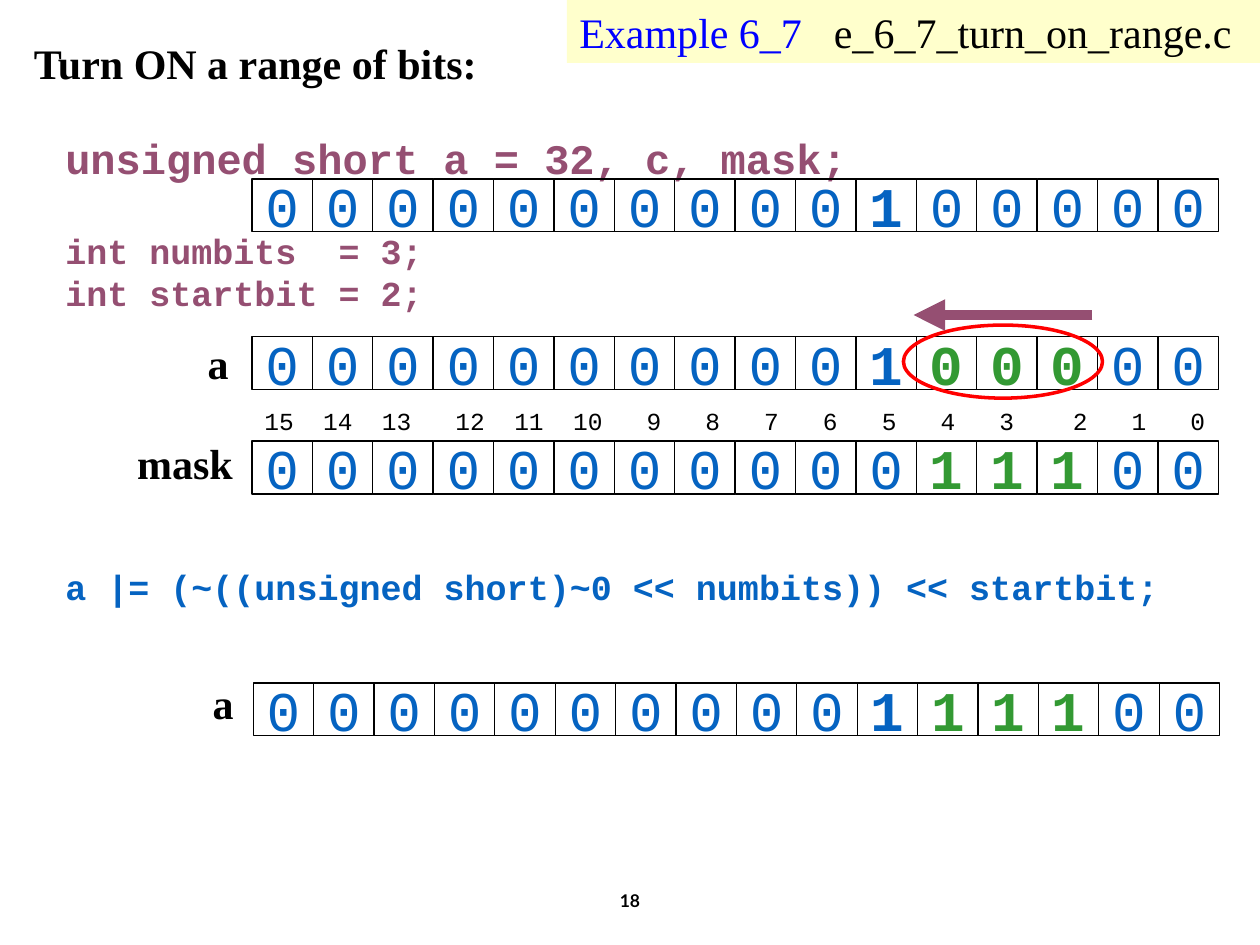
from dataclasses import dataclass
from itertools import accumulate

from lxml.etree import SubElement
from pptx import Presentation
from pptx.dml.color import RGBColor
from pptx.enum.shapes import MSO_CONNECTOR, MSO_SHAPE
from pptx.enum.text import MSO_ANCHOR, PP_ALIGN
from pptx.oxml.ns import qn
from pptx.util import Inches, Pt


@dataclass(frozen=True)
class Theme:
    serif: str = "Times New Roman"
    mono: str = "Courier New"
    footer: str = "Lato"
    black: str = "000000"
    plum: str = "954F72"
    blue: str = "0563C1"
    green: str = "339933"
    red: str = "FF0000"
    link: str = "0000FF"
    cream: str = "FFFFCC"
    digit_size: int = 32
    heading_size: int = 24
    code_size: int = 20
    index_size: int = 14
    footer_size: int = 10


THEME = Theme()
WORD_BITS = 16
CELL_WIDTH = 7.67 / WORD_BITS
CELL_HEIGHT = 0.42


def color(value):
    return RGBColor.from_string(value)


def style(run, font, size, ink, bold=False):
    run.font.name = font
    run.font.size = Pt(size)
    run.font.bold = bold
    run.font.color.rgb = color(ink)


def add_label(slide, text, box, font, size, bold=True, wrap=False):
    label = slide.shapes.add_textbox(*map(Inches, box))
    frame = label.text_frame
    frame.word_wrap = wrap
    frame.text = text
    style(frame.paragraphs[0].runs[0], font, size, THEME.black, bold)
    return frame


def set_tabs(paragraph, stops):
    tabs = SubElement(paragraph._p.get_or_add_pPr(), qn("a:tabLst"))
    for stop in stops:
        SubElement(tabs, qn("a:tab"), pos=str(Inches(stop)), algn="l")


def add_bit_row(slide, left, top, bits, highlighted=()):
    """Draw a 16-bit word; highlighted holds bit numbers counted from the right."""
    row = slide.shapes.add_group_shape()
    for column, bit in enumerate(bits):
        cell = row.shapes.add_shape(
            MSO_SHAPE.RECTANGLE, Inches(left + column * CELL_WIDTH), Inches(top),
            Inches(CELL_WIDTH), Inches(CELL_HEIGHT))
        cell.shadow.inherit = False
        cell.fill.background()
        cell.line.color.rgb = color(THEME.black)
        cell.line.width = Pt(0.75)
        frame = cell.text_frame
        frame.word_wrap = False
        frame.vertical_anchor = MSO_ANCHOR.MIDDLE
        frame.text = bit
        frame.paragraphs[0].alignment = PP_ALIGN.CENTER
        marked = WORD_BITS - 1 - column in highlighted
        style(frame.paragraphs[0].runs[0], THEME.mono, THEME.digit_size,
              THEME.green if marked else THEME.blue, marked or bit == "1")


def add_code(slide):
    lines = [  # text, size, colour, space before in points
        ("unsigned short a = 32, c, mask;", THEME.heading_size, THEME.plum, 0),
        ("int numbits  = 3;", THEME.code_size, THEME.plum, 27),
        ("int startbit = 2;", THEME.code_size, THEME.plum, 0),
        ("a |= (~((unsigned short)~0 << numbits)) << startbit;",
         THEME.code_size, THEME.blue, 144),
    ]
    code = slide.shapes.add_textbox(Inches(0.42), Inches(1), Inches(9.33), Inches(4.63))
    frame = code.text_frame
    frame.word_wrap = True
    frame.text = "\n".join(line[0] for line in lines)
    for paragraph, (_, size, ink, gap) in zip(frame.paragraphs, lines):
        paragraph.space_before = Pt(gap)
        style(paragraph.runs[0], THEME.mono, size, ink, True)


def add_bit_numbers(slide):
    numbers = range(WORD_BITS - 1, -1, -1)
    frame = add_label(slide, "\t".join(map(str, numbers)), (2, 3.17, 7.83, 0.33),
                      THEME.mono, THEME.index_size, bold=False, wrap=True)
    frame.paragraphs[0].space_before = Pt(7)
    # Four characters per number, five where the spacing is wider
    char_width = 0.6 * THEME.index_size / 72
    steps = (5 if number in (12, 9, 2) else 4 for number in numbers[1:])
    set_tabs(frame.paragraphs[0], (count * char_width for count in accumulate(steps)))


def add_range_marker(slide):
    ring = slide.shapes.add_shape(MSO_SHAPE.OVAL, Inches(7.17), Inches(2.58),
                                  Inches(1.58), Inches(0.58))
    ring.shadow.inherit = False
    ring.fill.background()
    ring.line.color.rgb = color(THEME.red)
    ring.line.width = Pt(2)

    arrow = slide.shapes.add_connector(MSO_CONNECTOR.STRAIGHT, Inches(8.67), Inches(2.5),
                                       Inches(7.25), Inches(2.5))
    arrow.line.color.rgb = color(THEME.plum)
    arrow.line.width = Pt(6)
    SubElement(arrow.line._get_or_add_ln(), qn("a:tailEnd"), type="triangle")
    SubElement(arrow._element.spPr, qn("a:effectLst"))


def add_example_banner(slide):
    banner = slide.shapes.add_shape(MSO_SHAPE.RECTANGLE, Inches(4.5), Inches(0),
                                    Inches(5.5), Inches(0.5))
    banner.shadow.inherit = False
    banner.fill.solid()
    banner.fill.fore_color.rgb = color(THEME.cream)
    banner.line.fill.background()
    frame = banner.text_frame
    frame.word_wrap = True
    frame.vertical_anchor = MSO_ANCHOR.TOP
    frame.text = "Example 6_7\t"
    title = frame.paragraphs[0]
    title.alignment = PP_ALIGN.LEFT
    set_tabs(title, [2.02])
    title.add_run().text = "e_6_7_turn_on_range.c"
    for run, ink in zip(title.runs, (THEME.link, THEME.black)):
        style(run, THEME.serif, THEME.heading_size, ink)


def main():
    deck = Presentation()
    deck.slide_width, deck.slide_height = Inches(10), Inches(7.5)
    slide = deck.slides.add_slide(deck.slide_layouts[6])

    # Slide number
    number = add_label(slide, "18", (3.31, 6.95, 3.38, 0.4), THEME.footer,
                       THEME.footer_size, wrap=True)
    number.vertical_anchor = MSO_ANCHOR.MIDDLE
    number.paragraphs[0].alignment = PP_ALIGN.CENTER

    # Code and bit words
    add_code(slide)
    add_bit_row(slide, 2, 1.42, "0000000000100000")
    add_bit_row(slide, 2, 2.67, "0000000000100000", (2, 3, 4))
    add_bit_numbers(slide)
    add_bit_row(slide, 2, 3.5, "0000000000011100", (2, 3, 4))
    add_bit_row(slide, 2.01, 5.42, "0000000000111100", (2, 3, 4))

    # Row names and heading
    for text, left, top, width in (("a", 1.55, 2.63, 0.37), ("mask", 0.99, 3.42, 0.96),
                                   ("a", 1.59, 5.33, 0.37),
                                   ("Turn ON a range of bits:", 0.17, 0.25, 3.75)):
        add_label(slide, text, (left, top, width, 0.5), THEME.serif, THEME.heading_size)

    # Range marker and banner
    add_range_marker(slide)
    add_example_banner(slide)
    deck.save("out.pptx")


main()
